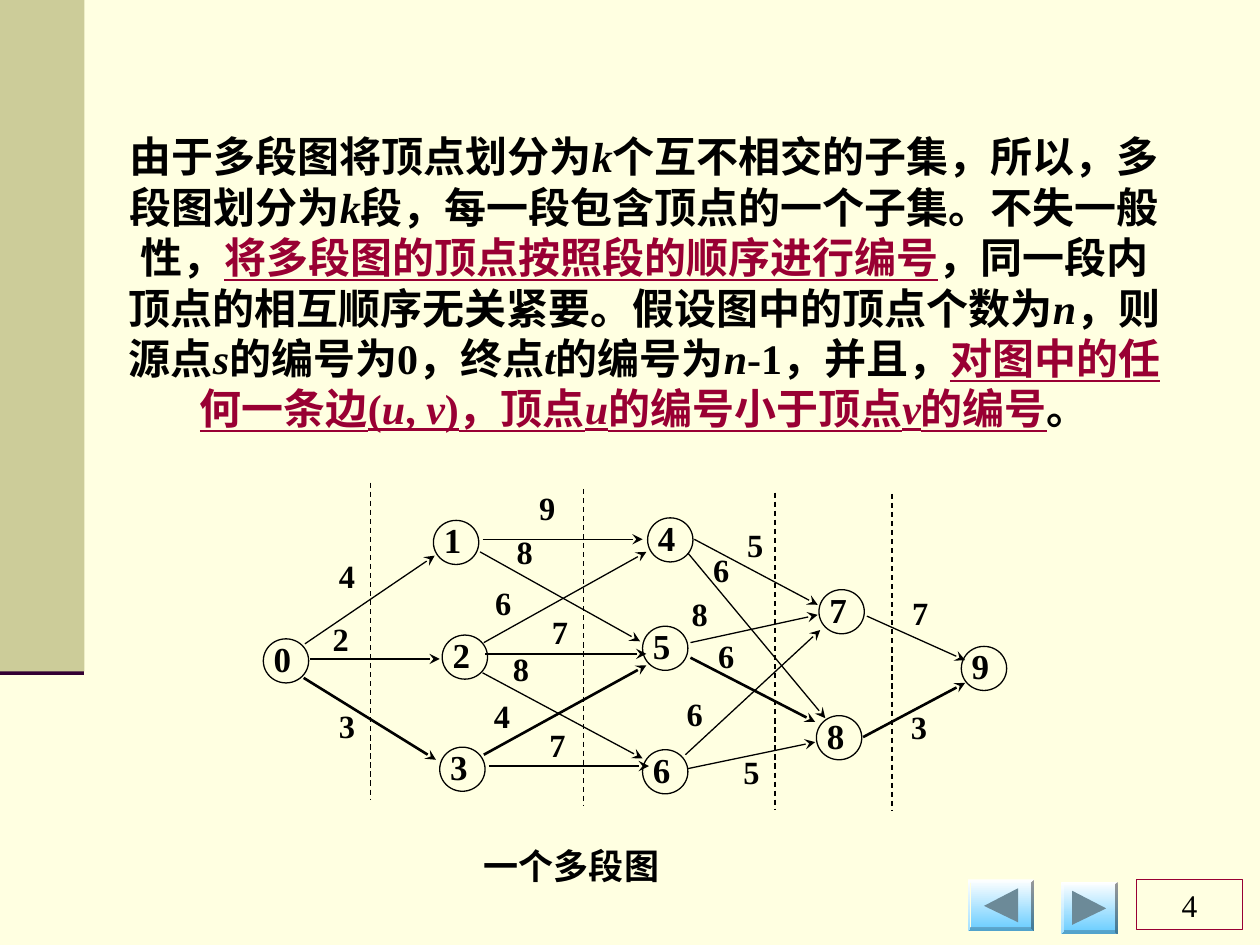
from pptx import Presentation
from pptx.dml.color import RGBColor
from pptx.enum.dml import MSO_LINE
from pptx.enum.shapes import MSO_CONNECTOR, MSO_SHAPE
from pptx.enum.text import MSO_ANCHOR as ANCHOR, PP_ALIGN as ALIGN
from pptx.oxml.ns import qn
from pptx.util import Inches, Pt
from lxml.etree import SubElement

BLACK, RED, PURPLE = "000000", "990033", "330033"
CREAM, OLIVE, SKY, STEEL = "FFFFE1", "CCCC99", "66CCFF", "6C8A98"

# Vertex number -> left, top
VERTICES = {
    0: (2.09, 5.07), 1: (3.44, 4.13), 2: (3.51, 5.04), 3: (3.49, 5.93),
    4: (5.14, 4.11), 5: (5.10, 4.97), 6: (5.10, 5.95),
    7: (6.50, 4.68), 8: (6.48, 5.68), 9: (7.63, 5.13),
}
# Start, end, weight, left and top of the weight, line width
THIN, THICK = 0.75, 1.5
EDGES = [
    ((2.42, 5.11), (3.45, 4.41), 4, (2.69, 4.50), THIN),
    ((2.46, 5.23), (3.49, 5.23), 2, (2.64, 5.00), THIN),
    ((2.41, 5.38), (3.46, 6.03), 3, (2.69, 5.69), THICK),
    ((3.83, 4.28), (5.10, 4.28), 9, (4.28, 3.96), THIN),
    ((3.81, 4.38), (5.08, 5.09), 8, (4.10, 4.31), THIN),
    ((3.84, 5.10), (5.13, 4.38), 6, (3.93, 4.71), THIN),
    ((3.85, 5.19), (5.13, 5.19), 7, (4.38, 4.94), THIN),
    ((3.83, 5.34), (5.10, 6.02), 8, (4.07, 5.24), THIN),
    ((3.84, 5.99), (5.13, 5.28), 4, (3.92, 5.61), THICK),
    ((3.88, 6.08), (5.15, 6.08), 7, (4.36, 5.84), THIN),
    ((5.51, 4.28), (6.49, 4.80), 5, (5.93, 4.25), THIN),
    ((5.46, 4.39), (6.55, 5.70), 6, (5.66, 4.45), THIN),
    ((5.48, 5.10), (6.49, 4.88), 8, (5.49, 4.80), THIN),
    ((5.48, 5.22), (6.47, 5.73), 6, (5.70, 5.13), THICK),
    ((5.44, 5.99), (6.51, 5.00), 6, (5.45, 5.59), THIN),
    ((5.46, 6.10), (6.47, 5.89), 5, (5.90, 6.05), THIN),
    ((6.88, 4.89), (7.66, 5.24), 7, (7.24, 4.79), THIN),
    ((6.85, 5.85), (7.66, 5.42), 3, (7.23, 5.70), THICK),
]
# Left, top of the lines between stages
DIVIDERS = [(2.94, 3.83), (4.63, 3.88), (6.15, 3.91), (7.08, 3.92)]
DIVIDER_HEIGHT = 2.52

# Text with its marks: i italic, u red and underlined
EXPLANATION = [
    ("由于多段图将顶点划分为", ""), ("k", "i"),
    ("个互不相交的子集，所以，多段图划分为", ""), ("k", "i"),
    ("段，每一段包含顶点的一个子集。不失一般性，", ""),
    ("将多段图的顶点按照段的顺序进行编号", "u"),
    ("，同一段内顶点的相互顺序无关紧要。假设图中的顶点个数为", ""),
    ("n", "i"), ("，则源点", ""), ("s", "i"), ("的编号为0，终点", ""),
    ("t", "i"), ("的编号为", ""), ("n", "i"), ("-1，并且，", ""),
    ("对图中的任何一条边(", "u"), ("u", "iu"), (", ", "u"), ("v", "iu"),
    (")，顶点", "u"), ("u", "iu"), ("的编号小于顶点", "u"), ("v", "iu"),
    ("的编号", "u"), ("。", ""),
]


def color(value):
    return RGBColor.from_string(value)


class SlideBuilder:
    font = "Times New Roman"

    def __init__(self, slide):
        self.slide = slide
        self.shapes = slide.shapes

    def background(self, value):
        fill = self.slide.background.fill
        fill.solid()
        fill.fore_color.rgb = color(value)

    def set_text(self, shape, runs, size, bold=True, align=ALIGN.LEFT,
                 spacing=None, margins=(0, 0, 0, 0), anchor=ANCHOR.TOP):
        frame = shape.text_frame
        frame.word_wrap = True
        frame.vertical_anchor = anchor
        (frame.margin_left, frame.margin_top, frame.margin_right,
         frame.margin_bottom) = [Inches(margin) for margin in margins]
        paragraph = frame.paragraphs[0]
        paragraph.alignment = align
        if spacing:
            paragraph.line_spacing = spacing
        for text, marks in runs:
            run = paragraph.add_run()
            run.text = text
            font = run.font
            font.name, font.size, font.bold = self.font, Pt(size), bold
            font.italic = "i" in marks
            font.underline = "u" in marks
            font.color.rgb = color(RED if "u" in marks else BLACK)

    def text(self, box, runs, size, **style):
        shape = self.shapes.add_textbox(*[Inches(length) for length in box])
        self.set_text(shape, runs, size, **style)

    def shape(self, kind, box, fill=None, line=None):
        shape = self.shapes.add_shape(kind, *[Inches(length) for length in box])
        self.paint(shape, fill, line)
        return shape

    def paint(self, shape, fill, line=None):
        shape.shadow.inherit = False
        if fill:
            shape.fill.solid()
            shape.fill.fore_color.rgb = color(fill)
        else:
            shape.fill.background()
        if line:
            shape.line.color.rgb = color(line)
            shape.line.width = Pt(0.75)
        else:
            shape.line.fill.background()

    def line(self, start, end, value=BLACK, width=THIN, dash=None, arrow=False):
        connector = self.shapes.add_connector(
            MSO_CONNECTOR.STRAIGHT, *[Inches(length) for length in start + end])
        connector.line.color.rgb = color(value)
        connector.line.width = Pt(width)
        if dash:
            connector.line.dash_style = dash
        properties = connector.element.spPr
        if arrow:
            SubElement(properties.find(qn("a:ln")), qn("a:tailEnd"), type="stealth")
        SubElement(properties, qn("a:effectLst"))

    def vertex(self, number, left, top):
        shape = self.shape(MSO_SHAPE.OVAL, (left, top, 0.36, 0.35), line=BLACK)
        self.set_text(shape, [(str(number), "")], 20, spacing=0.8,
                      margins=(0.03, 0, 0, 0))

    def edge(self, start, end, weight, place, width):
        self.line(start, end, width=width, arrow=True)
        self.text((*place, 0.2, 0.23), [(str(weight), "")], 18.5, spacing=0.7)

    def button(self, box, triangle):
        bevel = self.shape(MSO_SHAPE.BEVEL, box)
        bevel.adjustments[0] = 0.06
        bevel.fill.gradient()
        bevel.fill.gradient_angle = 270
        for stop, value in zip(bevel.fill.gradient_stops, ("FFFFFF", SKY)):
            stop.color.rgb = color(value)
        first, *others = [(Inches(x), Inches(y)) for x, y in triangle]
        builder = self.shapes.build_freeform(*first)
        builder.add_line_segments(others, close=True)
        self.paint(builder.convert_to_shape(), STEEL)


def main():
    presentation = Presentation()
    presentation.slide_width, presentation.slide_height = Inches(10), Inches(7.5)
    builder = SlideBuilder(presentation.slides.add_slide(presentation.slide_layouts[6]))

    # Side band and navigation
    builder.background(CREAM)
    builder.line((0, 5.33), (0.67, 5.33), PURPLE, 3.5)
    builder.shape(MSO_SHAPE.RECTANGLE, (0, 0, 0.67, 5.33), fill=OLIVE)
    builder.button((7.68, 6.98, 0.53, 0.41), [(7.81, 7.19), (8.08, 7.05), (8.08, 7.32)])
    builder.button((8.42, 7, 0.45, 0.41), [(8.51, 7.07), (8.78, 7.21), (8.51, 7.34)])
    page = builder.shape(MSO_SHAPE.RECTANGLE, (9.02, 6.98, 0.84, 0.4), line=RED)
    builder.set_text(page, [("4", "")], 18, bold=False, align=ALIGN.CENTER,
                     margins=(0.1, 0.05, 0.1, 0.05), anchor=ANCHOR.MIDDLE)

    # Multistage graph
    for number, place in VERTICES.items():
        builder.vertex(number, *place)
    for edge in EDGES:
        builder.edge(*edge)
    for left, top in DIVIDERS:
        builder.line((left, top), (left, top + DIVIDER_HEIGHT), dash=MSO_LINE.DASH)
    builder.text((3.84, 6.77, 2.62, 0.27), [("一个多段图", "")], 20, spacing=0.8)

    # Explanation
    builder.text((0.9, 0.99, 8.43, 2.9), EXPLANATION, 24, align=ALIGN.CENTER,
                 margins=(0.1, 0.05, 0.1, 0.05))
    presentation.save("out.pptx")


if __name__ == "__main__":
    main()
